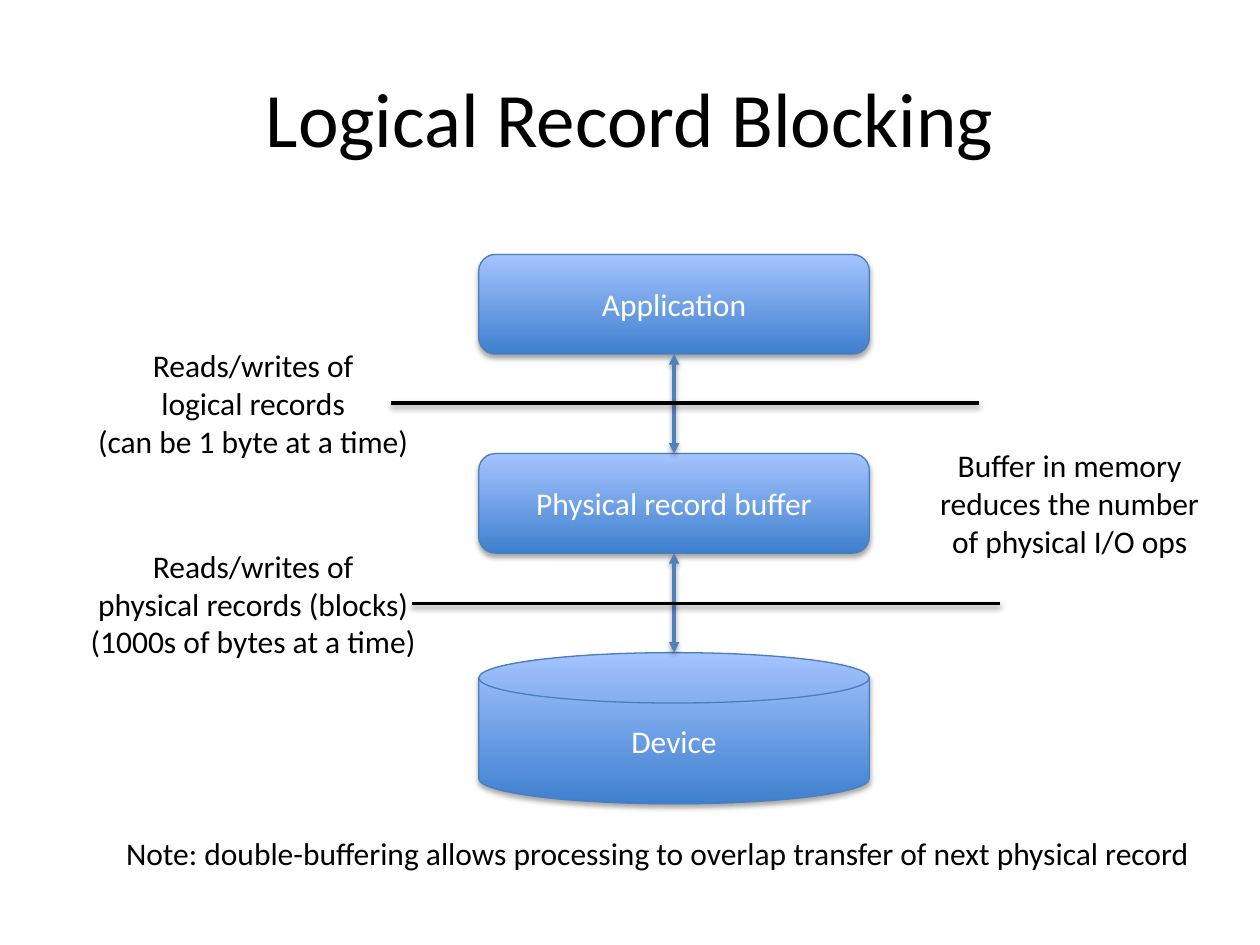
import pptx
import pptx.util
import pptx.dml.color
import pptx.enum.shapes
import pptx.enum.text
import pptx.oxml
import pptx.oxml.ns

Inches = pptx.util.Inches
Pt = pptx.util.Pt
RGBColor = pptx.dml.color.RGBColor
Shape = pptx.enum.shapes.MSO_SHAPE
Anchor = pptx.enum.text.MSO_ANCHOR
qn = pptx.oxml.ns.qn

BLACK = RGBColor(0x00, 0x00, 0x00)
WHITE = RGBColor(0xFF, 0xFF, 0xFF)
DEEP = RGBColor(0x3F, 0x80, 0xCE)
PALE = RGBColor(0xA4, 0xC4, 0xFF)
EDGE = RGBColor(0x4B, 0x7E, 0xBC)
ARROW = RGBColor(0x4F, 0x81, 0xBD)


class Sketch:
    font = "Calibri"
    size = 18

    def __init__(self, slide):
        self.slide = slide

    def style(self, frame, text, color, size, anchor):
        frame.text = text
        frame.word_wrap = True
        frame.vertical_anchor = anchor
        for para in frame.paragraphs:
            para.alignment = pptx.enum.text.PP_ALIGN.CENTER
            for run in para.runs:
                run.font.name = self.font
                run.font.size = Pt(size)
                run.font.color.rgb = color

    def shade(self, item, dist, alpha):
        item._element.spPr.append(pptx.oxml.parse_xml(
            f'<a:effectLst {pptx.oxml.ns.nsdecls("a")}>'
            f'<a:outerShdw blurRad="{Pt(3.1)}" dist="{Pt(dist)}" dir="5400000" rotWithShape="0">'
            f'<a:srgbClr val="000000"><a:alpha val="{alpha * 1000}"/></a:srgbClr>'
            '</a:outerShdw></a:effectLst>'))

    def label(self, text, x, y, w, h, size=size, anchor=Anchor.TOP):
        box = self.slide.shapes.add_textbox(Inches(x), Inches(y), Inches(w), Inches(h))
        self.style(box.text_frame, text, BLACK, size, anchor)

    def block(self, kind, text, x, y, w, h):
        box = self.slide.shapes.add_shape(kind, Inches(x), Inches(y), Inches(w), Inches(h))
        box.fill.gradient()
        box.fill.gradient_angle = 90
        for stop, color, place in zip(box.fill.gradient_stops, (DEEP, PALE), (0, 1)):
            stop.color.rgb = color
            stop.position = place
        box.line.color.rgb = EDGE
        box.line.width = Pt(0.75)
        self.shade(box, 1.8, 35)
        self.style(box.text_frame, text, WHITE, self.size, Anchor.MIDDLE)

    def line(self, x, y, to_x, to_y, color, heads=False):
        link = self.slide.shapes.add_connector(
            pptx.enum.shapes.MSO_CONNECTOR.STRAIGHT,
            Inches(x), Inches(y), Inches(to_x), Inches(to_y))
        link.line.color.rgb = color
        link.line.width = Pt(2)
        if heads:
            stroke = link._element.spPr.find(qn("a:ln"))
            for end in ("a:headEnd", "a:tailEnd"):
                stroke.append(stroke.makeelement(qn(end), {"type": "triangle"}))
        self.shade(link, 1.6, 38)


def main():
    deck = pptx.Presentation()
    deck.slide_width = Inches(10)
    deck.slide_height = Inches(7.5)
    sketch = Sketch(deck.slides.add_slide(deck.slide_layouts[6]))

    sketch.label("Logical Record Blocking", 0.5, 0.3, 9, 1.25, 44, Anchor.MIDDLE)

    left, top, wide, high = 3.8, 2.02, 3.1, 0.79
    stack = (
        (Shape.ROUNDED_RECTANGLE, "Application", high),
        (Shape.ROUNDED_RECTANGLE, "Physical record buffer", high),
        (Shape.FLOWCHART_MAGNETIC_DISK, "Device", 1.2),
    )
    for row, (kind, text, tall) in enumerate(stack):
        sketch.block(kind, text, left, top + row * 2 * high, wide, tall)

    mid = left + wide / 2
    layers = (
        (3.1, "Reads/writes of\nlogical records\n(can be 1 byte at a time)"),
        (3.27, "Reads/writes of\nphysical records (blocks)\n(1000s of bytes at a time)"),
    )
    for row, (start, text) in enumerate(layers):
        y = top + (2 * row + 1) * high
        bar = 3.2 + row * 1.59
        sketch.line(mid, y, mid, y + high, ARROW, heads=True)
        sketch.line(start, bar, start + 4.67, bar, BLACK)
        sketch.label(text, 0.61, bar - 0.5, 2.8, 1.01)

    sketch.label("Buffer in memory reduces the number of physical I/O ops", 7.29, 3.49, 2.4, 1.01)
    sketch.label("Note: double-buffering allows processing to overlap transfer of next physical record",
                 0.75, 6.57, 8.94, 0.4)
    deck.save("out.pptx")


if __name__ == "__main__":
    main()
